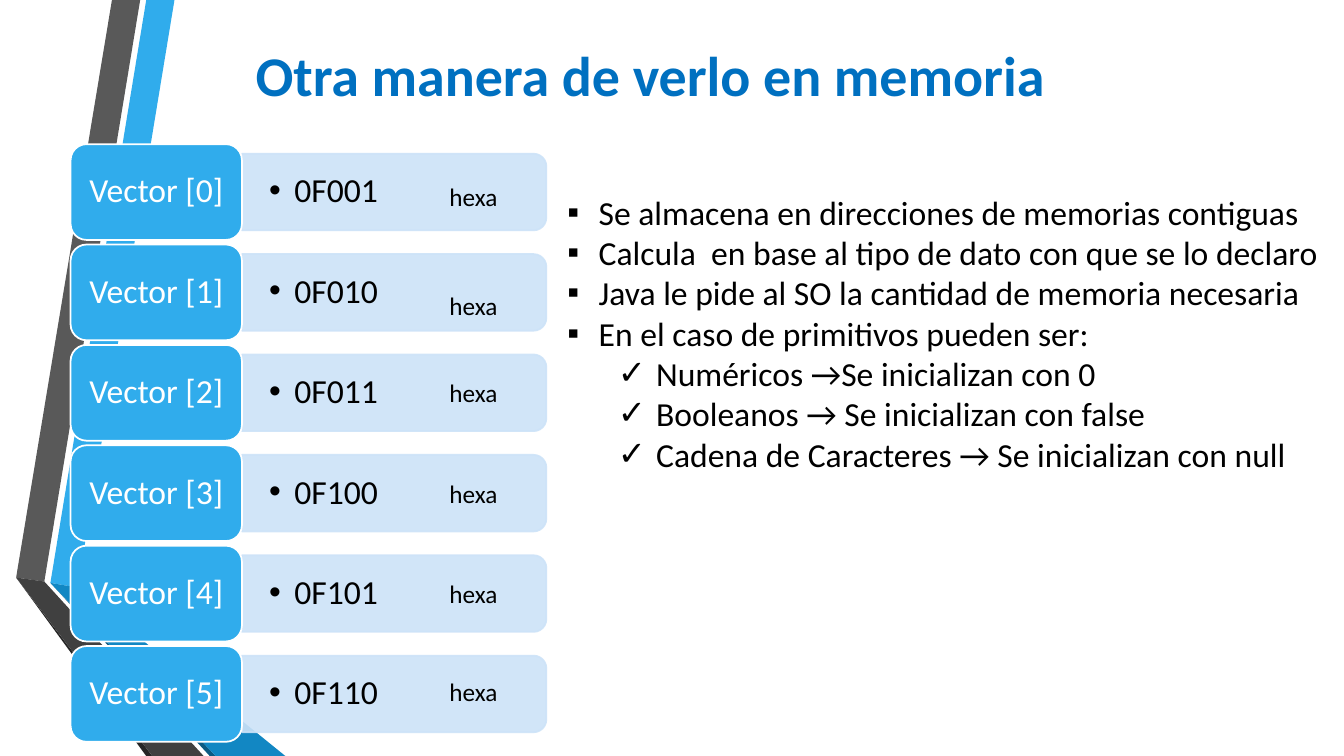
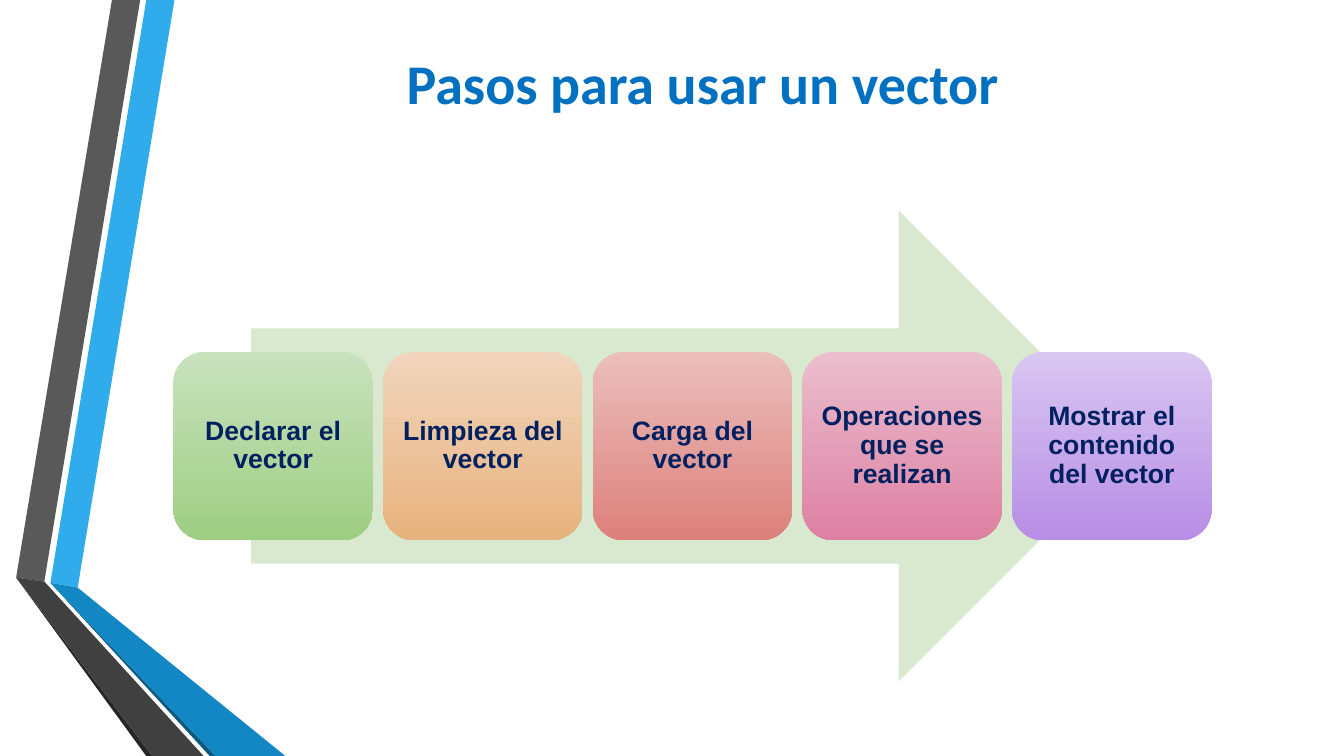
from dataclasses import dataclass

from lxml.etree import SubElement
from pptx import Presentation
from pptx.dml.color import RGBColor
from pptx.enum.shapes import MSO_SHAPE as Shape
from pptx.enum.text import MSO_ANCHOR as Anchor, PP_ALIGN as Align
from pptx.oxml.ns import qn
from pptx.util import Inches, Pt


@dataclass(frozen=True)
class Theme:
    title: str = "0070C0"
    accent: str = "30ACEC"
    row: str = "CDE3F8"
    arrow: str = "D8E9D0"
    step_text: str = "002060"
    black: str = "000000"
    white: str = "FFFFFF"
    font: str = "Calibri"
    step_font: str = "Arial"
    title_size: int = 40
    body_size: int = 24
    note_size: int = 18
    step_size: int = 19
    outline: float = 1.25


THEME = Theme()
WIDTH, HEIGHT = Inches(13.33), Inches(7.5)

# Content; every place is (left, top, width, height) in percent of the slide
MEMORY_TITLE = "Otra manera de verlo en memoria"
MEMORY_TITLE_BOX = (5.25, 0.13, 86.25, 19.33)
ADDRESSES = ["0F001", "0F010", "0F011", "0F100", "0F101", "0F110"]
UNIT = "hexa"
UNIT_TOPS = [23.33, 37.73, 49.2, 62.67, 75.87, 88.8]
NOTES_BOX = (41.48, 24.67, 58.5, 48.53)
NOTES = [
    (0, "Se almacena en direcciones de memorias contiguas"),
    (0, "Calcula  en base al tipo de dato con que se lo declaro"),
    (0, "Java le pide al SO la cantidad de memoria necesaria"),
    (0, "En el caso de primitivos pueden ser:"),
    (1, "Numéricos →Se inicializan con 0"),
    (1, "Booleanos → Se inicializan con false"),
    (1, "Cadena de Caracteres → Se inicializan con null"),
]
NOTE_BULLETS = [("▪", 0.31, 0.31), ("✓", 0.88, 0.38)]  # sign, margin, hanging

STEPS_TITLE = "Pasos para usar un vector"
STEPS_TITLE_BOX = (11.18, 1.87, 82.2, 17.87)
ARROW_BOX = (18.68, 27.87, 65.7, 62.27)
STEPS = [
    ("Declarar el vector", "C9E2BE", "9ECE83"),
    ("Limpieza del vector", "F1D5BD", "E7B27D"),
    ("Carga del vector", "EBBEBC", "DD817C"),
    ("Operaciones que se realizan", "EBBECD", "DD80A2"),
    ("Mostrar el contenido del vector", "D9C6F1", "B88EE6"),
]

# Folded ribbons at the left edge of both slides
GRAY_FOLD, GRAY_INNER = (1.2, 76.4), (3.3, 76.93)
BLUE_FOLD, BLUE_INNER = (3.75, 77.1), (5.78, 77.73)
RIBBONS = [
    ("30ACEC", [BLUE_FOLD, BLUE_INNER, (12.98, 0), (10.88, 0)]),
    ("595959", [GRAY_FOLD, GRAY_INNER, (10.43, 0), (8.33, 0)]),
    ("262626", [GRAY_FOLD, (10.88, 100), (11.33, 100)]),
    ("0C5A82", [BLUE_FOLD, (15.6, 100), (16.05, 100)]),
    ("1287C3", [BLUE_FOLD, (16.05, 100), (21.23, 100), BLUE_INNER]),
    ("404040", [GRAY_FOLD, (11.33, 100), (15.15, 100), GRAY_INNER]),
]


def across(percent):
    return round(WIDTH * percent / 100)


def down(percent):
    return round(HEIGHT * percent / 100)


def place(box):
    left, top, width, height = box
    return across(left), down(top), across(width), down(height)


def paint(shape, fill=None, line=None):
    shape.shadow.inherit = False
    if fill:
        shape.fill.solid()
        shape.fill.fore_color.rgb = RGBColor.from_string(fill)
    if line:
        shape.line.color.rgb = RGBColor.from_string(line)
        shape.line.width = Pt(THEME.outline)
    else:
        shape.line.fill.background()


def write(shape, lines, size, color, font=THEME.font, bold=False,
          align=Align.LEFT, anchor=Anchor.MIDDLE, spacing=1.0, wrap=True):
    frame = shape.text_frame
    frame.text = "\n".join(lines)
    frame.word_wrap = wrap
    frame.vertical_anchor = anchor
    for paragraph in frame.paragraphs:
        paragraph.alignment = align
        paragraph.line_spacing = spacing
        for run in paragraph.runs:
            run.font.name, run.font.size, run.font.bold = font, Pt(size), bold
            run.font.color.rgb = RGBColor.from_string(color)
    return frame


def add_bullet(paragraph, sign, margin, hanging):
    properties = paragraph._p.get_or_add_pPr()
    properties.set("marL", str(Inches(margin)))
    properties.set("indent", str(-Inches(hanging)))
    SubElement(properties, qn("a:buFont")).set("typeface", "Arial")
    SubElement(properties, qn("a:buChar")).set("char", sign)


def start_slide(presentation, title, title_box):
    slide = presentation.slides.add_slide(presentation.slide_layouts[6])
    for color, points in RIBBONS:
        corners = [(across(x), down(y)) for x, y in points]
        builder = slide.shapes.build_freeform(*corners[0])
        builder.add_line_segments(corners[1:], close=True)
        paint(builder.convert_to_shape(), color)
    write(slide.shapes.add_textbox(*place(title_box)), [title],
          THEME.title_size, THEME.title, bold=True, align=Align.CENTER)
    return slide


def add_memory_row(slide, index, address):
    first_top, last_bottom, label_height, row_height = 19.07, 98.13, 12.67, 10.13
    pitch = (last_bottom - first_top - label_height) / (len(ADDRESSES) - 1)
    label_top = first_top + index * pitch
    row_top = label_top + (label_height - row_height) / 2
    row_box = (18, row_top, 22.65, row_height)

    # Address bar, turned so that its round corners face right
    left, top, width, height = place(row_box)
    bar = slide.shapes.add_shape(
        Shape.ROUND_2_SAME_RECTANGLE,
        left + (width - height) // 2, top + (height - width) // 2, height, width)
    bar.rotation = 90
    paint(bar, THEME.row, THEME.row)
    for color in bar._element.spPr.iter(qn("a:srgbClr")):
        SubElement(color, qn("a:alpha")).set("val", "90000")

    address_text = slide.shapes.add_textbox(*place(row_box))
    frame = write(address_text, [address], THEME.body_size, THEME.black, spacing=0.9)
    frame.margin_left = frame.margin_right = Inches(0.27)
    add_bullet(frame.paragraphs[0], "•", 0.25, 0.25)

    label = slide.shapes.add_shape(
        Shape.ROUNDED_RECTANGLE, *place((5.25, label_top, 12.75, label_height)))
    paint(label, THEME.accent, THEME.white)
    write(label, [f"Vector [{index}]"], THEME.body_size, THEME.white,
          align=Align.CENTER, spacing=0.9)


def build_memory_slide(presentation):
    slide = start_slide(presentation, MEMORY_TITLE, MEMORY_TITLE_BOX)
    for index, address in enumerate(ADDRESSES):
        add_memory_row(slide, index, address)

    notes = slide.shapes.add_textbox(*place(NOTES_BOX))
    frame = write(notes, [text for _, text in NOTES], THEME.body_size,
                  THEME.black, anchor=Anchor.TOP)
    for paragraph, (level, _) in zip(frame.paragraphs, NOTES):
        paragraph.level = level
        add_bullet(paragraph, *NOTE_BULLETS[level])

    for top in UNIT_TOPS:
        unit = slide.shapes.add_textbox(*place((32.7, top, 5.1, 5.33)))
        write(unit, [UNIT], THEME.note_size, THEME.black,
              anchor=Anchor.TOP, wrap=False)


def build_steps_slide(presentation):
    slide = start_slide(presentation, STEPS_TITLE, STEPS_TITLE_BOX)
    paint(slide.shapes.add_shape(Shape.RIGHT_ARROW, *place(ARROW_BOX)), THEME.arrow)

    # Step cards at equal gaps
    first_left, card_width, gap = 12.9, 14.85, 0.75
    for index, (text, *colors) in enumerate(STEPS):
        left = first_left + index * (card_width + gap)
        card = slide.shapes.add_shape(
            Shape.ROUNDED_RECTANGLE, *place((left, 46.53, card_width, 24.93)))
        paint(card)
        card.fill.gradient()
        card.fill.gradient_angle = 270
        for stop, color in zip(card.fill.gradient_stops, colors):
            stop.color.rgb = RGBColor.from_string(color)
        frame = write(card, [text], THEME.step_size, THEME.step_text,
                      THEME.step_font, True, Align.CENTER, spacing=0.9)
        frame.margin_left = frame.margin_right = Inches(0.08)


def main():
    presentation = Presentation()
    presentation.slide_width, presentation.slide_height = WIDTH, HEIGHT
    build_memory_slide(presentation)
    build_steps_slide(presentation)
    presentation.save("out.pptx")


if __name__ == "__main__":
    main()
